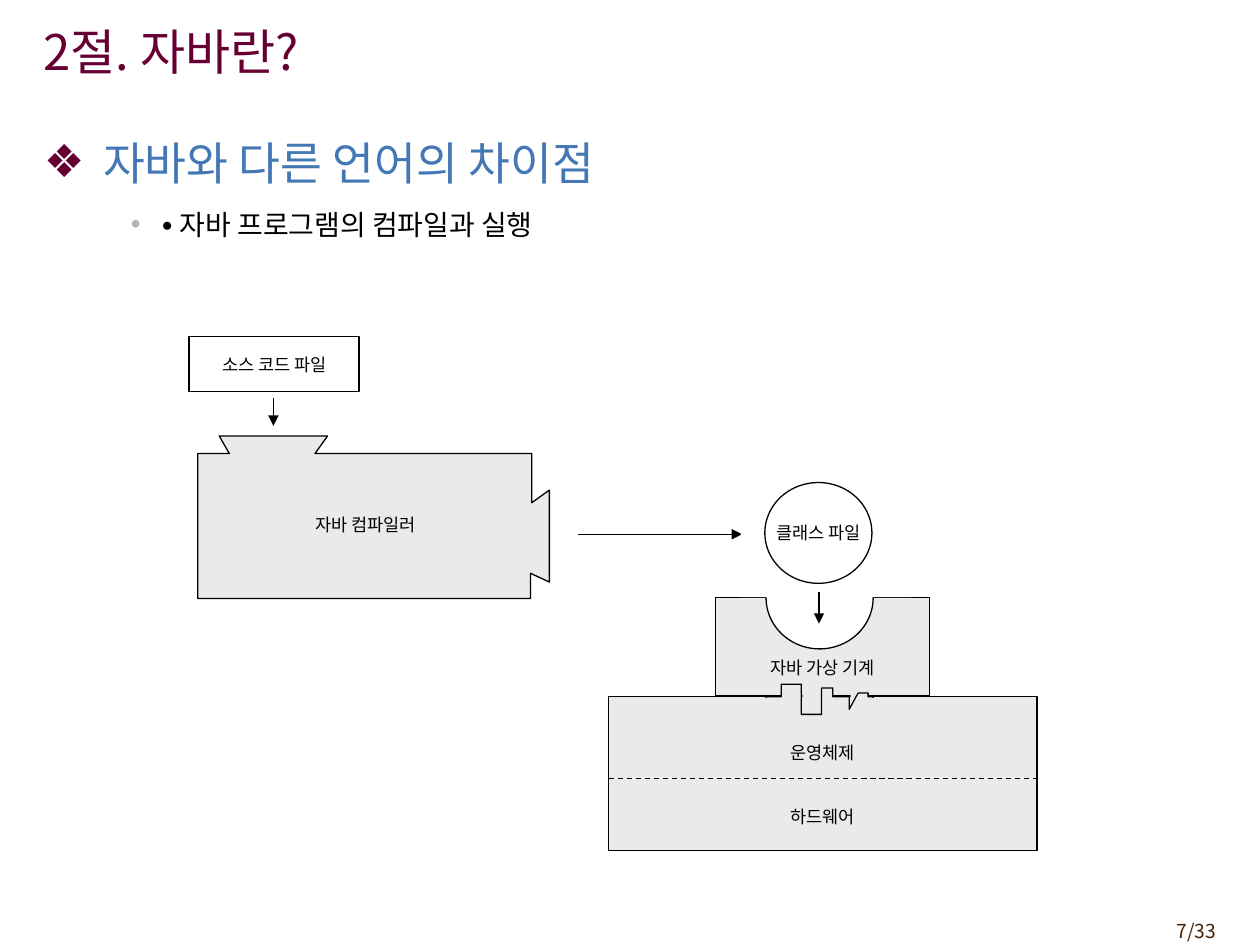
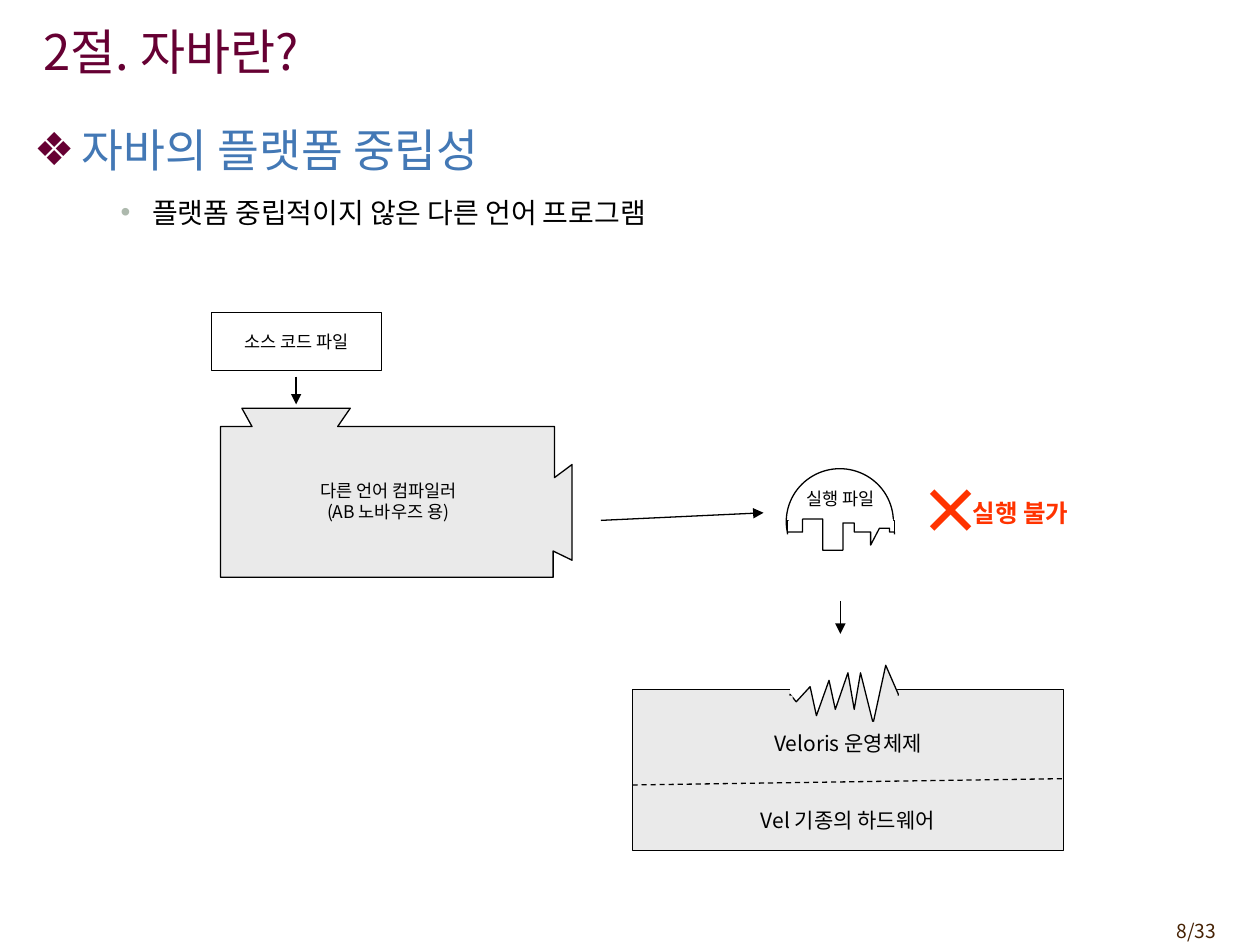
from lxml.etree import SubElement
from pptx import Presentation
from pptx.dml.color import RGBColor
from pptx.enum.dml import MSO_LINE
from pptx.enum.shapes import MSO_CONNECTOR, MSO_SHAPE
from pptx.enum.text import MSO_ANCHOR, PP_ALIGN
from pptx.oxml.ns import qn
from pptx.util import Inches, Pt

# Shared look
HUE = {"wine": "660033", "blue": "4378B5", "sage": "ADB9AD", "brown": "452103",
       "red": "FF3300", "black": "000000", "white": "FFFFFF", "gray": "EAEAEA"}
FACE = "Noto Sans CJK KR"
TITLE = "2절. 자바란?"
TOTAL = 33
FORMS = {"rect": MSO_SHAPE.RECTANGLE, "oval": MSO_SHAPE.OVAL,
         "wedge": MSO_SHAPE.RIGHT_TRIANGLE}

# Outlines used on both slides, measured from their top left corner
FUNNEL = [(.17, 0), (1.03, 0), (.93, .14), (2.65, .14), (2.65, .53), (2.79, .43),
          (2.79, 1.16), (2.64, 1.09), (2.64, 1.29), (0, 1.29), (0, .14), (.25, .14)]
TEETH = [(0, .1), (.12, .1), (.12, 0), (.28, 0), (.28, .24), (.44, .24), (.44, .03),
         (.53, .03), (.53, .1), (.66, .1), (.66, .2), (.73, .07), (.81, .07),
         (.81, .1), (.85, .1), (.85, .38), (0, .38)]

# Outlines that hide the lower edge of a joint
NOTCH = [(0, 0), (0, .35), (.95, .35), (.95, 0), (.82, 0), (.82, .25), (.13, .25), (.13, 0)]
CUP = [(0, 0), (0, .37), (.95, .39), (.95, 0), (.83, 0), (.77, .17), (.13, .15), (.13, 0)]
TRAY = [(0, 0), (0, .29), (1.02, .29), (1.02, 0), (.89, 0), (.89, .21), (.14, .21), (.14, 0)]
SPIKES = [(0, .23), (0, .52), (.86, .52), (.86, .23), (.76, 0), (.66, .46), (.56, .06),
          (.51, .35), (.46, .06), (.36, .35), (.31, .12), (.21, .4), (.16, .17), (.05, .29)]

# Slide content; drawing parts run from back to front
SLIDES = [
    {"page": 7, "body": (.25, 1.02), "head": "자바와 다른 언어의 차이점", "inset": .47,
     "point": [("• ", "Arial", True), ("자바 프로그램의 컴파일과 실행", FACE, False)],
     "parts": [
         # Platform and virtual machine
         ("form", "rect", (4.83, 5.53, 3.4, 1.22), "gray", True),
         ("form", "rect", (5.68, 4.74, 1.7, .78), "gray", True),
         ("form", "oval", (6.08, 4.34, .85, .81), "white", True),
         ("form", "rect", (6.37, 5.41, .15, .22), "gray", False),
         ("line", (4.83, 6.18), (8.23, 6.18), True),
         ("poly", TEETH, (6.08, 5.43), "gray", True),
         ("form", "wedge", (6.75, 5.39, .12, .2), "gray", False),
         ("poly", NOTCH, (6.03, 5.54), "gray", False),
         ("label", (6.53, 5.3), "자바 가상 기계"),
         ("label", (6.53, 5.97), "운영체제"),
         ("label", (6.53, 6.48), "하드웨어"),
         # Compiler
         ("poly", FUNNEL, (1.57, 3.46), "gray", True),
         ("form", "rect", (1.5, 2.67, 1.35, .44), "white", True, "소스 코드 파일"),
         ("line", (2.17, 3.16), (2.17, 3.38)),
         ("label", (2.9, 4.16), "자바 컴파일러"),
         # Class file
         ("line", (4.59, 4.24), (5.89, 4.24)),
         ("form", "rect", (5.88, 4, 1.35, .74), "white", False),
         ("form", "oval", (6.07, 3.83, .85, .8), "white", True, "클래스 파일"),
         ("line", (6.5, 4.7), (6.5, 4.95)),
     ]},
    {"page": 8, "body": (.17, .92), "head": "자바의 플랫폼 중립성", "inset": .38,
     "point": [("플랫폼 중립적이지 않은 다른 언어 프로그램", FACE, False)],
     "parts": [
         # Compiler
         ("form", "oval", (6.24, 3.72, .85, .84), "white", True),
         ("label", (6.67, 3.96), "실행 파일"),
         ("form", "rect", (6.25, 4.13, .85, .45), "white", True),
         ("poly", FUNNEL, (1.75, 3.24), "gray", True, 1.04),
         ("form", "rect", (1.68, 2.48, 1.35, .46), "white", True, "소스 코드 파일"),
         ("line", (2.35, 2.99), (2.35, 3.21)),
         ("label", (3.08, 3.98), "다른 언어 컴파일러\n(AB 노바우즈 용)"),
         # Executable file
         ("line", (4.77, 4.13), (6.06, 4.07)),
         ("form", "rect", (6.26, 4.12, .83, .07), "white", False),
         ("poly", TEETH, (6.25, 4.12), "white", True, 1.03),
         ("poly", CUP, (6.23, 4.24), "white", False),
         # Platform that does not fit
         ("form", "rect", (5.02, 5.47, 3.42, 1.28), "gray", True),
         ("line", (5.02, 6.23), (8.44, 6.18), True),
         ("form", "rect", (6.27, 5.36, .85, .41), "white", False),
         ("poly", SPIKES, (6.27, 5.28), "gray", True),
         ("poly", TRAY, (6.15, 5.52), "gray", False),
         ("label", (6.73, 5.9), "Veloris 운영체제", 12),
         ("label", (6.73, 6.51), "Vel 기종의 하드웨어", 12),
         ("text", (7.62, 3.9, 1.04, .34), "실행 불가", 14, "red", True),
         ("text", (7.2, 3.69, .7, .7), "×", 36, "red", True),
         ("line", (6.67, 4.77), (6.67, 5.03)),
     ]},
]


def color(name):
    return RGBColor.from_string(HUE[name])


def face(font, name):
    """Set a font for Latin and Korean letters alike."""
    font.name = name
    SubElement(font._element, qn("a:ea"), typeface=name)


def style(para, size, hue, bold=False):
    font = para.font
    font.size, font.bold = Pt(size), bold
    font.color.rgb = color(hue)
    face(font, FACE)


def fill(frame, words, size=10, hue="black", bold=False, align=PP_ALIGN.CENTER):
    frame.text = words
    for para in frame.paragraphs:
        para.alignment = align
        style(para, size, hue, bold)


def paint(shape, hue, edge):
    shape.shadow.inherit = False
    shape.fill.solid()
    shape.fill.fore_color.rgb = color(hue)
    if edge:
        shape.line.color.rgb = color("black")
        shape.line.width = Pt(.75)
    else:
        shape.line.fill.background()


# Drawing parts
def form(slide, kind, at, hue, edge, words=""):
    shape = slide.shapes.add_shape(FORMS[kind], *map(Inches, at))
    paint(shape, hue, edge)
    if kind == "wedge":
        shape._element.spPr.find(qn("a:xfrm")).set("flipV", "1")
    if words:
        frame = shape.text_frame
        frame.word_wrap = False
        frame.vertical_anchor = MSO_ANCHOR.MIDDLE
        fill(frame, words)


def poly(slide, dots, at, hue, edge, tall=1):
    first, *rest = [(Inches(at[0] + x), Inches(at[1] + y * tall)) for x, y in dots]
    pen = slide.shapes.build_freeform(*first)
    pen.add_line_segments(rest, close=True)
    paint(pen.convert_to_shape(), hue, edge)


def line(slide, start, end, dash=False):
    link = slide.shapes.add_connector(MSO_CONNECTOR.STRAIGHT, *map(Inches, start + end))
    link.line.color.rgb = color("black")
    link.line.width = Pt(.75)
    if dash:
        link.line.dash_style = MSO_LINE.DASH
    else:
        SubElement(link.line._get_or_add_ln(), qn("a:tailEnd"), type="triangle")
    SubElement(link._element.spPr, qn("a:effectLst"))


def text(slide, at, words, size, hue, bold=False, align=PP_ALIGN.LEFT,
         anchor=MSO_ANCHOR.TOP, wrap=True):
    frame = slide.shapes.add_textbox(*map(Inches, at)).text_frame
    frame.word_wrap = wrap
    frame.vertical_anchor = anchor
    fill(frame, words, size, hue, bold, align)
    return frame


def label(slide, mid, words, size=10):
    wide, high = 2.2, .5
    at = (mid[0] - wide / 2, mid[1] - high / 2, wide, high)
    text(slide, at, words, size, "black", align=PP_ALIGN.CENTER,
         anchor=MSO_ANCHOR.MIDDLE, wrap=False)


def bullet(para, mark, hue, left, hang, gap):
    props = para._p.get_or_add_pPr()
    props.set("marL", str(Inches(left)))
    props.set("indent", str(-Inches(hang)))
    tint = SubElement(props, qn("a:buClr"))
    SubElement(tint, qn("a:srgbClr"), val=HUE[hue])
    SubElement(props, qn("a:buFont"), typeface="Arial")
    SubElement(props, qn("a:buChar"), char=mark)
    para.space_before = para.space_after = Pt(gap)


def body(slide, page):
    frame = slide.shapes.add_textbox(*map(Inches, page["body"] + (9.5, 6.25))).text_frame
    frame.word_wrap = True
    head, point = frame.paragraphs[0], frame.add_paragraph()
    head.text = page["head"]
    bullet(head, "❖", "wine", page["inset"], page["inset"], 6.5)
    style(head, 26, "blue")
    point.level = 1
    bullet(point, "•", "sage", .94, .25, 4)
    style(point, 16, "black")
    for words, name, bold in page["point"]:
        run = point.add_run()
        run.text = words
        run.font.bold = bold
        face(run.font, name)


DRAW = {"form": form, "poly": poly, "line": line, "text": text, "label": label}


def main():
    deck = Presentation()
    deck.slide_width, deck.slide_height = Inches(10), Inches(7.5)
    for page in SLIDES:
        slide = deck.slides.add_slide(deck.slide_layouts[6])
        text(slide, (8.92, 7.25, .83, .29), f"{page['page']}/{TOTAL}", 11, "brown",
             align=PP_ALIGN.RIGHT)
        text(slide, (.25, .09, 8.27, .63), TITLE, 28, "wine", anchor=MSO_ANCHOR.MIDDLE)
        for kind, *args in page["parts"]:
            DRAW[kind](slide, *args)
        body(slide, page)
    deck.save("out.pptx")


if __name__ == "__main__":
    main()
